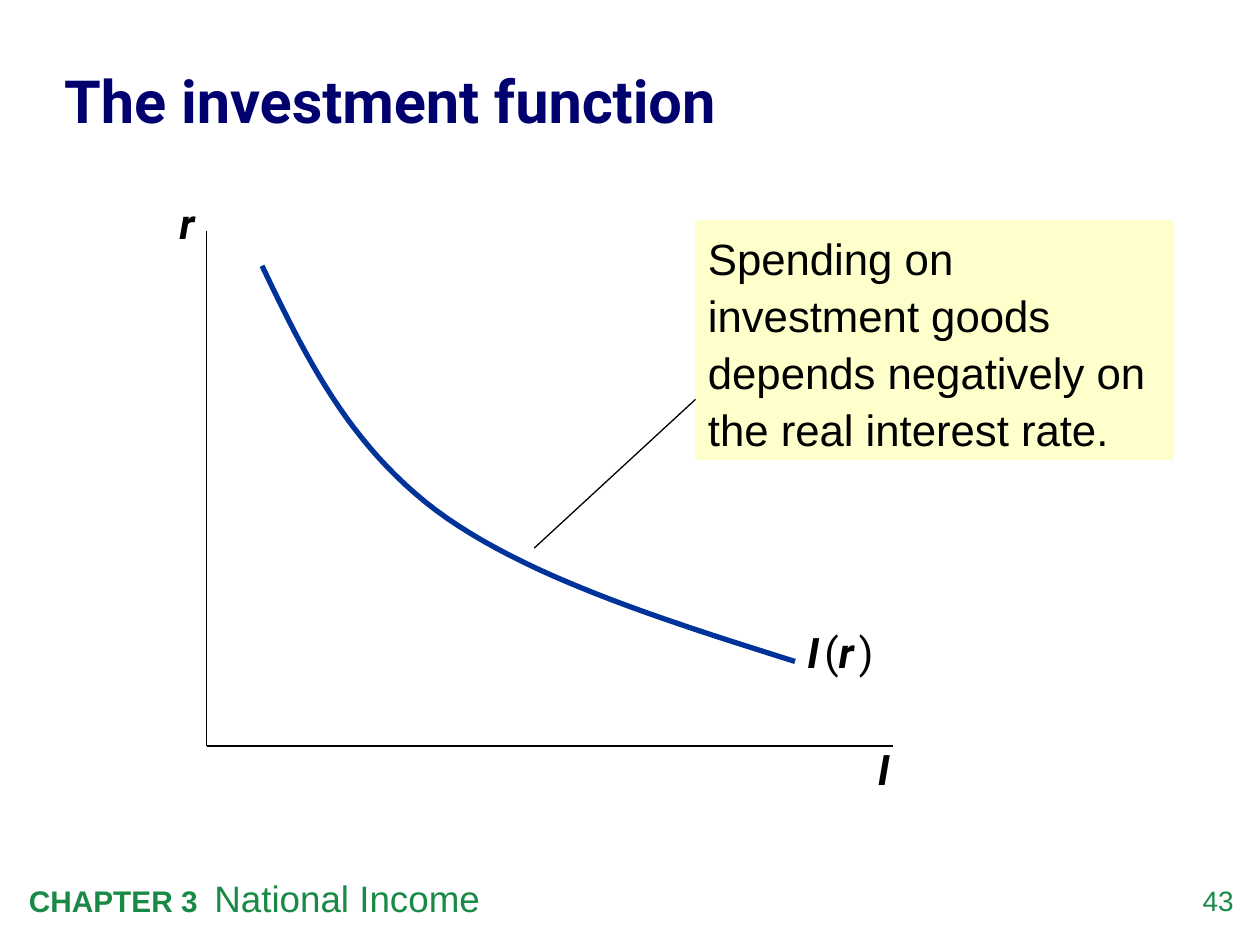
import pptx
import pptx.dml.color
import pptx.enum.shapes
import pptx.enum.text
import pptx.oxml
import pptx.util

COLS, ROWS = 100, 75
BLACK, GREEN, NAVY, BLUE, CREAM = "000000", "198A46", "00006E", "003399", "FFFFCC"
ALIGN = pptx.enum.text.PP_ALIGN
ANCHOR = pptx.enum.text.MSO_ANCHOR


def rgb(value):
    """Turn a hex string into a colour."""
    return pptx.dml.color.RGBColor.from_string(value)


class Deck:
    """Slide style and element builders on a grid of 100 columns by 75 rows."""

    def __init__(self, prs, font="Arial"):
        """Open a blank slide and measure its grid."""
        self.prs, self.font = prs, font
        self.s = prs.slides.add_slide(prs.slide_layouts[6])

    def x(self, col):
        """Give the length of a number of columns."""
        return round(self.prs.slide_width * col / COLS)

    def y(self, row):
        """Give the length of a number of rows."""
        return round(self.prs.slide_height * row / ROWS)

    def box(self, col, row, width, height):
        """Give left, top, width and height of a grid area."""
        return self.x(col), self.y(row), self.x(width), self.y(height)

    def fill_text(self, sp, runs, color=BLACK, font=None, align=ALIGN.LEFT,
                  anchor=ANCHOR.TOP, spacing=None, inset=True):
        """Fill a shape with runs of (text, size, bold, italic)."""
        tf = sp.text_frame
        tf.word_wrap, tf.vertical_anchor = True, anchor
        if not inset:
            tf.margin_left = tf.margin_right = tf.margin_top = tf.margin_bottom = 0
        p = tf.paragraphs[0]
        p.alignment, p.line_spacing = align, spacing
        for text, size, bold, italic in runs:
            for i, part in enumerate(text.split("\n")):
                if i:
                    p.add_line_break()
                r = p.add_run()
                r.text = part
                r.font.name, r.font.size = font or self.font, pptx.util.Pt(size)
                r.font.bold, r.font.italic = bold, italic
                r.font.color.rgb = rgb(color)

    def text(self, area, runs, **style):
        """Add a text box."""
        self.fill_text(self.s.shapes.add_textbox(*self.box(*area)), runs, **style)

    def callout(self, area, runs, fill, **style):
        """Add a filled rectangle with text."""
        sp = self.s.shapes.add_shape(
            pptx.enum.shapes.MSO_SHAPE.RECTANGLE, *self.box(*area))
        sp.shadow.inherit = False
        sp.fill.solid()
        sp.fill.fore_color.rgb = rgb(fill)
        sp.line.fill.background()
        self.fill_text(sp, runs, **style)

    def line(self, start, end, color=BLACK, width=0.75):
        """Add a straight line between two grid points."""
        sp = self.s.shapes.add_connector(
            pptx.enum.shapes.MSO_CONNECTOR.STRAIGHT,
            self.x(start[0]), self.y(start[1]), self.x(end[0]), self.y(end[1]))
        sp.line.color.rgb, sp.line.width = rgb(color), pptx.util.Pt(width)
        sp._element.spPr.append(pptx.oxml.parse_xml(
            '<a:effectLst xmlns:a="http://schemas.openxmlformats.org/drawingml/2006/main"/>'))

    def curve(self, start, segments, color, width, steps=24):
        """Add an open curve through cubic segments of (control, control, end)."""
        points, a = [], start
        for b, c, d in segments:
            for t in (i / steps for i in range(1, steps + 1)):
                u = 1 - t
                px, py = (u**3 * a[k] + 3 * u * u * t * b[k] + 3 * u * t * t * c[k]
                          + t**3 * d[k] for k in (0, 1))
                points.append((self.x(px), self.y(py)))
            a = d
        builder = self.s.shapes.build_freeform(self.x(start[0]), self.y(start[1]))
        builder.add_line_segments(points, close=False)
        sp = builder.convert_to_shape()
        sp.shadow.inherit = False
        sp.fill.background()
        sp.line.color.rgb, sp.line.width = rgb(color), pptx.util.Pt(width)


def main():
    """Build the investment function slide."""
    prs = pptx.Presentation()
    prs.slide_width, prs.slide_height = pptx.util.Inches(10), pptx.util.Inches(7.5)
    deck = Deck(prs)

    deck.text((92.4, 70.1, 5.5, 3.2), [("43", 16, False, False)],
              color=GREEN, align=ALIGN.RIGHT, inset=False)
    deck.text((1.3, 69, 81.8, 4.5),
              [("CHAPTER 3  ", 17, True, False), ("National Income", 21, False, False)],
              color=GREEN)
    deck.text((5.1, 2.6, 90.2, 10.3), [("The investment function", 34, True, False)],
              color=NAVY, font="Roboto", anchor=ANCHOR.MIDDLE, spacing=1.05, inset=False)

    origin = (16.4, 59.2)
    for end in ((16.4, 18.3), (70.9, 59.2)):
        deck.line(origin, end)
    for name, col, row in (("r", 12.5, 15.2), ("I", 67.8, 58.5)):
        deck.text((col, row, 4.7, 5), [(name, 24, True, True)],
                  font="Roboto", align=ALIGN.CENTER)

    gap = (" ", 12, True, True)
    deck.text((63.1, 49.2, 8.6, 5),
              [("I", 24, True, True), gap, ("(", 24, False, False),
               ("r", 24, True, True), gap, (")", 24, False, False)], font="Roboto")
    deck.curve((20.8, 21.1),
               [((24.2, 28.2), (27.6, 35.2), (34.6, 40.5)),
                ((41.6, 45.7), (52.3, 49.1), (63.1, 52.5))], BLUE, 3)

    deck.callout((55.2, 17.5, 38, 19),
                 [("Spending on investment goods \n"
                   "depends negatively on the real interest rate.", 25, False, False)],
                 CREAM, spacing=1.09)
    deck.line((55.2, 31.7), (42.4, 43.5))
    prs.save("out.pptx")


if __name__ == "__main__":
    main()
